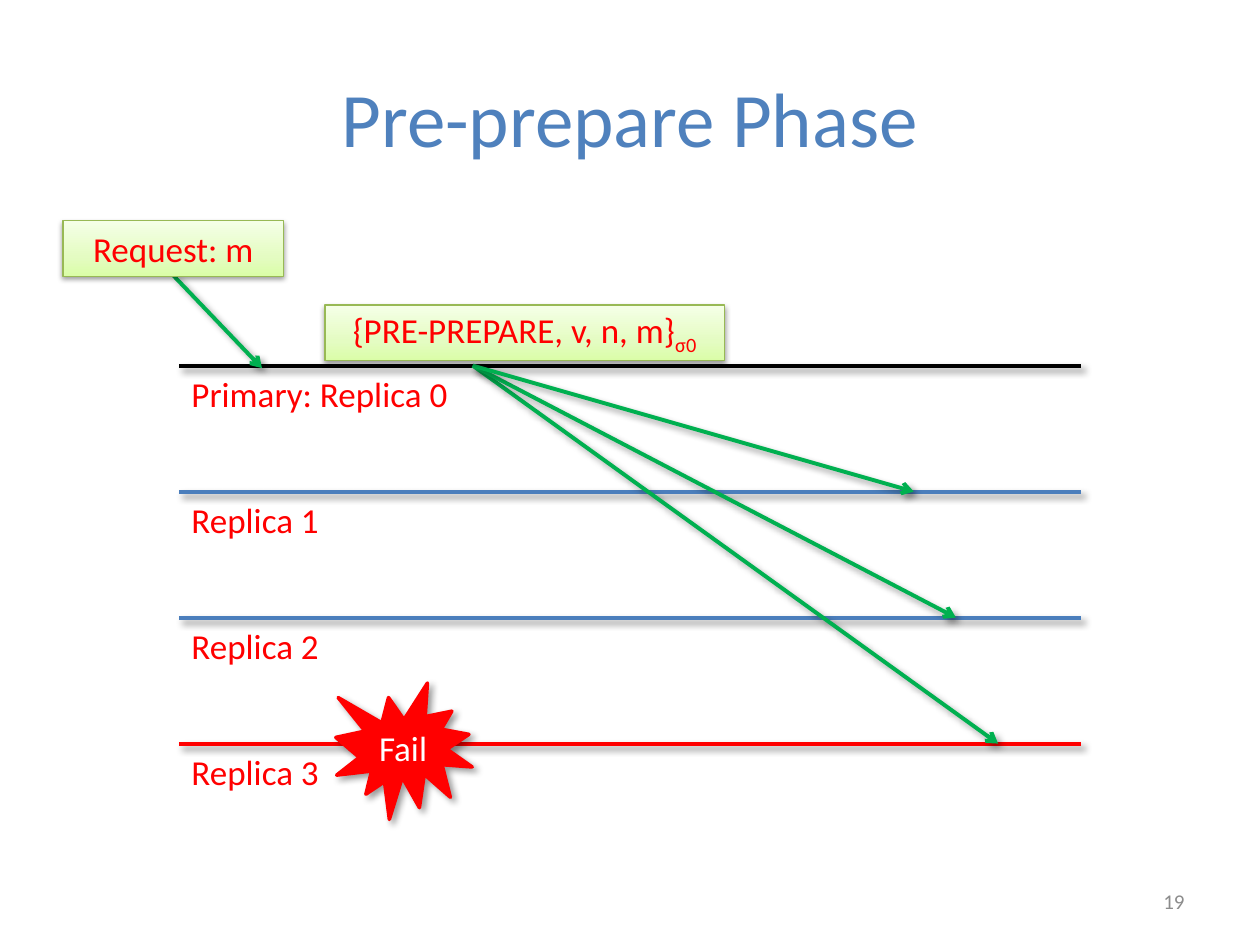
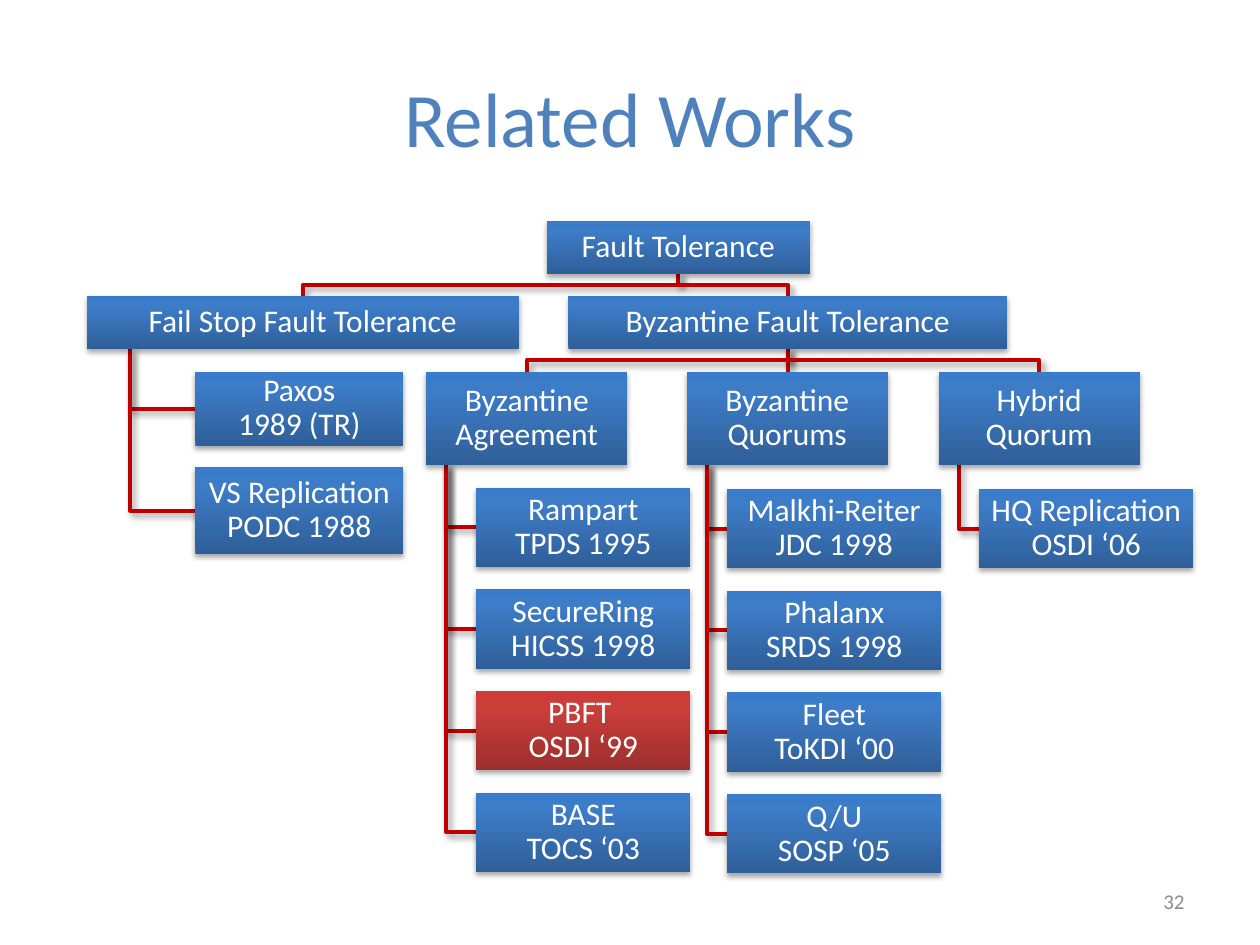
from dataclasses import dataclass

from lxml import etree
from pptx import Presentation
from pptx.dml.color import RGBColor
from pptx.enum.shapes import MSO_CONNECTOR, MSO_SHAPE
from pptx.enum.text import MSO_ANCHOR, PP_ALIGN
from pptx.oxml.ns import qn
from pptx.util import Cm, Pt

RECTANGLE = MSO_SHAPE.RECTANGLE
BURST = MSO_SHAPE.EXPLOSION1
STRAIGHT = MSO_CONNECTOR.STRAIGHT
MIDDLE = MSO_ANCHOR.MIDDLE
LEFT, CENTER, RIGHT = PP_ALIGN.LEFT, PP_ALIGN.CENTER, PP_ALIGN.RIGHT

COLORS = {
    "title": "4F81BD",
    "number": "8C8C8C",
    "black": "000000",
    "white": "FFFFFF",
    "red": "FF0000",
    "blue": "4B7EBC",
    "green": "00B050",
    "lime": "98B955",
    "branch": "C00000",
}
GRADIENTS = {
    "lime": ((0, "DAFDA7"), (35, "E4FCC2"), (100, "F5FFE7")),
    "blue": ((0, "2F5F99"), (80, "3D7CC7"), (100, "3A7CCB")),
    "red": ((0, "9C2F2D"), (80, "CB3E3A"), (100, "CE3B37")),
}
SHADOWS = {
    "slanted": (40, 4, 3, 45),
    "message": (38, 3.1, 1.6, 90),
    "node": (35, 3.1, 1.8, 90),
}


def rgb(name):
    return RGBColor.from_string(COLORS[name])


def add_xml(parent, tag, **attributes):
    child = etree.SubElement(parent, qn(tag))
    for key, value in attributes.items():
        child.set(key, str(value))
    return child


class Painter:
    font = "Calibri"

    def __init__(self):
        self.deck = Presentation()
        self.deck.slide_width, self.deck.slide_height = Cm(25.4), Cm(19.05)
        self.page = None

    def new_page(self, title, number):
        self.page = self.deck.slides.add_slide(self.deck.slide_layouts[6])
        self.label(title, (1.27, 0.76, 22.86, 3.18), 44, "title", CENTER)
        self.label(number, (18.21, 17.65, 5.92, 1.02), 12, "number", RIGHT)

    def fill_text(self, box, text, size, color, align, subscript=""):
        frame = box.text_frame
        frame.word_wrap = True
        frame.vertical_anchor = MIDDLE
        para = frame.paragraphs[0]
        para.alignment = align
        for index, line in enumerate(text.split("\n")):
            if index:
                para.add_line_break()
            self.span(para, line, size, color)
        if subscript:
            span = self.span(para, subscript, size, color)
            span.font._element.set("baseline", "-25000")

    def span(self, para, text, size, color):
        span = para.add_run()
        span.text = text
        span.font.name = self.font
        span.font.size = Pt(size)
        span.font.color.rgb = rgb(color)
        return span

    def label(self, text, area, size, color, align=LEFT):
        box = self.page.shapes.add_textbox(*map(Cm, area))
        self.fill_text(box, text, size, color, align)

    def shadow(self, shape, kind):
        opacity, blur, distance, angle = SHADOWS[kind]
        properties = shape._element.spPr
        effects = properties.find(qn("a:effectLst"))
        if effects is None:
            effects = add_xml(properties, "a:effectLst")
        outer = add_xml(effects, "a:outerShdw", blurRad=int(Pt(blur)),
                        dist=int(Pt(distance)), dir=angle * 60000, rotWithShape=0)
        color = add_xml(outer, "a:srgbClr", val=COLORS["black"])
        add_xml(color, "a:alpha", val=opacity * 1000)

    def stroke(self, shape, color, width):
        shape.line.color.rgb = rgb(color)
        shape.line.width = Pt(width)

    def line(self, start, end, color, arrow=False):
        line = self.page.shapes.add_connector(STRAIGHT, *map(Cm, (*start, *end)))
        self.stroke(line, color, 2.25)
        if arrow:
            outline = line._element.spPr.find(qn("a:ln"))
            add_xml(outline, "a:tailEnd", type="arrow")
        self.shadow(line, "slanted")

    def elbow(self, *points):
        start, *others = [tuple(map(Cm, point)) for point in points]
        builder = self.page.shapes.build_freeform(*start)
        builder.add_line_segments(others, close=False)
        shape = builder.convert_to_shape()
        shape.fill.background()
        self.stroke(shape, "branch", 2.25)
        shape.shadow.inherit = False
        self.shadow(shape, "slanted")

    def gradient(self, shape, name):
        shape.fill.gradient()
        shape.fill.gradient_angle = 90
        stops = shape._element.spPr.find(qn("a:gradFill")).find(qn("a:gsLst"))
        for stop in list(stops):
            stops.remove(stop)
        for position, color in GRADIENTS[name]:
            stop = add_xml(stops, "a:gs", pos=position * 1000)
            add_xml(stop, "a:srgbClr", val=color)

    def preset(self, kind, area, shadow):
        shape = self.page.shapes.add_shape(kind, *map(Cm, area))
        shape.shadow.inherit = False
        self.shadow(shape, shadow)
        return shape

    def message(self, text, area, subscript=""):
        box = self.preset(RECTANGLE, area, "message")
        self.gradient(box, "lime")
        self.stroke(box, "lime", 0.75)
        self.fill_text(box, text, 20, "red", CENTER, subscript)

    def burst(self, text, area):
        shape = self.preset(BURST, area, "slanted")
        shape.fill.solid()
        shape.fill.fore_color.rgb = rgb("red")
        self.stroke(shape, "red", 2)
        self.fill_text(shape, text, 20, "white", CENTER)

    def node(self, text, area, gradient):
        box = self.preset(RECTANGLE, area, "node")
        self.gradient(box, gradient)
        box.line.fill.background()
        frame = box.text_frame
        frame.margin_left = frame.margin_right = Cm(0.03)
        frame.margin_top = frame.margin_bottom = Cm(0.03)
        self.fill_text(box, text, 18, "white", CENTER)
        frame.paragraphs[0].line_spacing = 0.9


@dataclass
class Work:
    text: str
    left: float
    top: float
    width: float
    height: float
    children: tuple = ()
    hanging: bool = False
    gradient: str = "blue"

    @property
    def center(self):
        return self.left + self.width / 2

    @property
    def bottom(self):
        return self.top + self.height


def draw_work(painter, work):
    for child in work.children:
        if work.hanging:
            trunk = work.left + work.width / 10
            middle = child.top + child.height / 2
            painter.elbow((trunk, work.bottom), (trunk, middle), (child.left, middle))
        elif abs(child.center - work.center) < 0.1:
            painter.line((work.center, work.bottom), (work.center, child.top), "branch")
        else:
            bend = (work.bottom + child.top) / 2
            painter.elbow((work.center, work.bottom), (work.center, bend),
                          (child.center, bend), (child.center, child.top))
    for child in work.children:
        draw_work(painter, child)
    painter.node(work.text, (work.left, work.top, work.width, work.height), work.gradient)


def family(text, left, leaf_left, leaf_top, leaves):
    children = tuple(
        Work(leaf, leaf_left, leaf_top + 2.05 * row, 4.32, 1.6,
             gradient="red" if leaf.startswith("PBFT") else "blue")
        for row, leaf in enumerate(leaves))
    return Work(text, left, 7.49, 4.06, 1.88, children, hanging=True)


def pre_prepare_page(painter):
    painter.new_page("Pre-prepare Phase", "19")
    lane_left, lane_right, lane_top, lane_gap = 3.61, 21.79, 7.37, 2.54
    replicas = (("Primary: Replica 0", "black", 6.78), ("Replica 1", "blue", 4.45),
                ("Replica 2", "blue", 4.45), ("Replica 3", "red", 4.45))
    for row, (name, color, width) in enumerate(replicas):
        top = lane_top + row * lane_gap
        painter.line((lane_left, top), (lane_right, top), color)
        painter.label(name, (lane_left, top, width, 1.12), 20, "red")
    for row in (3, 2, 1):
        target = (17.57 + 0.85 * row, lane_top + row * lane_gap)
        painter.line((9.53, lane_top), target, "green", arrow=True)
    painter.line((3.5, 5.56), (5.28, 7.42), "green", arrow=True)
    painter.message("Request: m", (1.27, 4.45, 4.45, 1.12))
    painter.message("{PRE-PREPARE, v, n, m}", (6.55, 6.15, 8.05, 1.12), "σ0")
    painter.burst("Fail", (6.77, 13.77, 2.75, 2.75))


def related_works_page(painter):
    painter.new_page("Related Works", "32")
    fail_stop = Work("Fail Stop Fault Tolerance", 1.75, 5.97, 8.71, 1.07, (
        Work("Paxos\n1989 (TR)", 3.94, 7.49, 4.19, 1.5),
        Work("VS Replication\nPODC 1988", 3.94, 9.42, 4.19, 1.75),
    ), hanging=True)
    byzantine = Work("Byzantine Fault Tolerance", 11.46, 5.97, 8.84, 1.07, (
        family("Byzantine Agreement", 8.59, 9.6, 9.83, (
            "Rampart\nTPDS 1995", "SecureRing\nHICSS 1998",
            "PBFT \nOSDI ‘99", "BASE\nTOCS ‘03")),
        family("Byzantine Quorums", 13.84, 14.66, 9.86, (
            "Malkhi-Reiter\nJDC 1998", "Phalanx\nSRDS 1998",
            "Fleet\nToKDI ‘00", "Q/U\nSOSP ‘05")),
        family("Hybrid Quorum", 18.92, 19.74, 9.86, ("HQ Replication OSDI ‘06",)),
    ))
    draw_work(painter, Work("Fault Tolerance", 11.02, 4.45, 5.31, 1.07,
                            (fail_stop, byzantine)))


def main():
    painter = Painter()
    pre_prepare_page(painter)
    related_works_page(painter)
    painter.deck.save("out.pptx")


if __name__ == "__main__":
    main()
